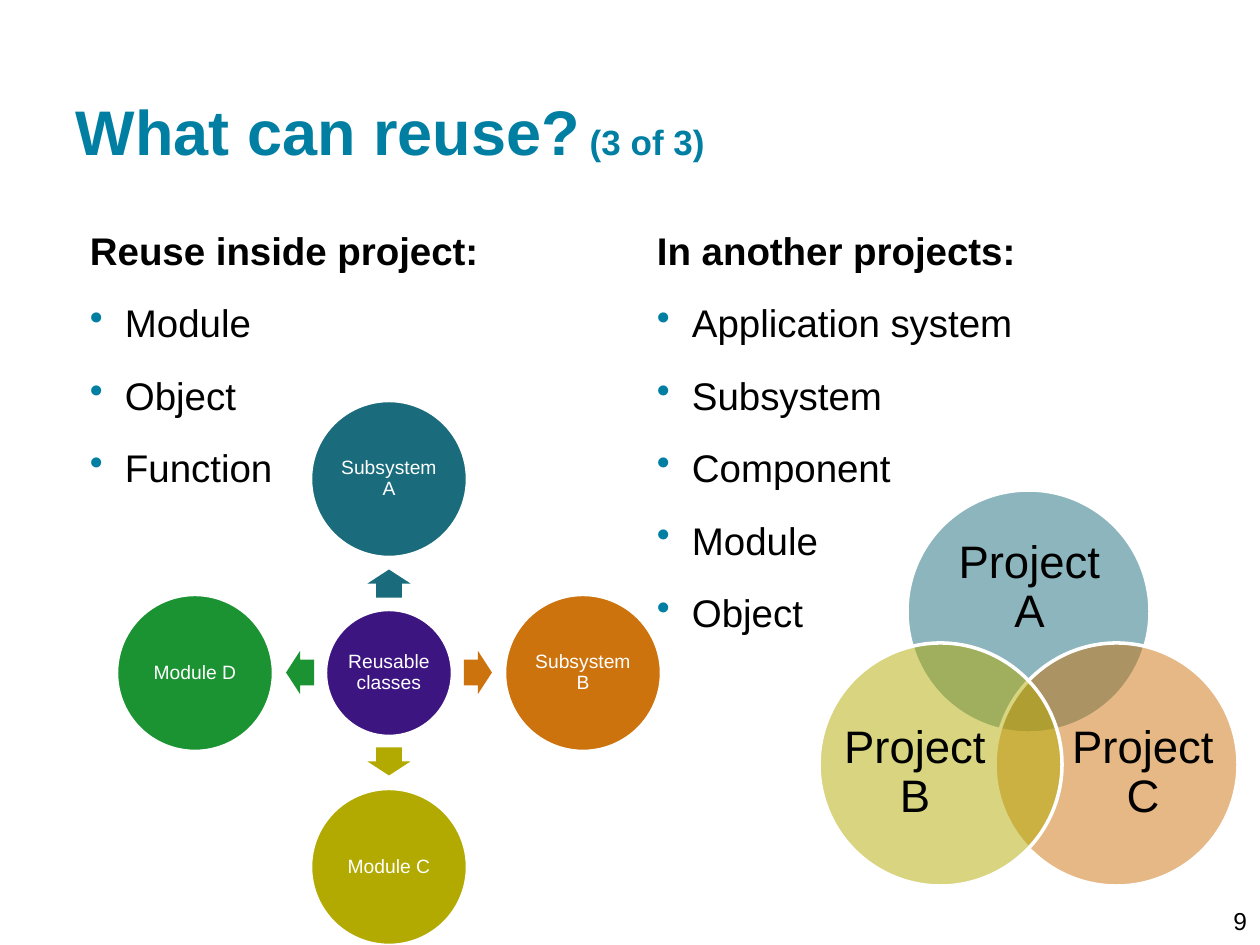
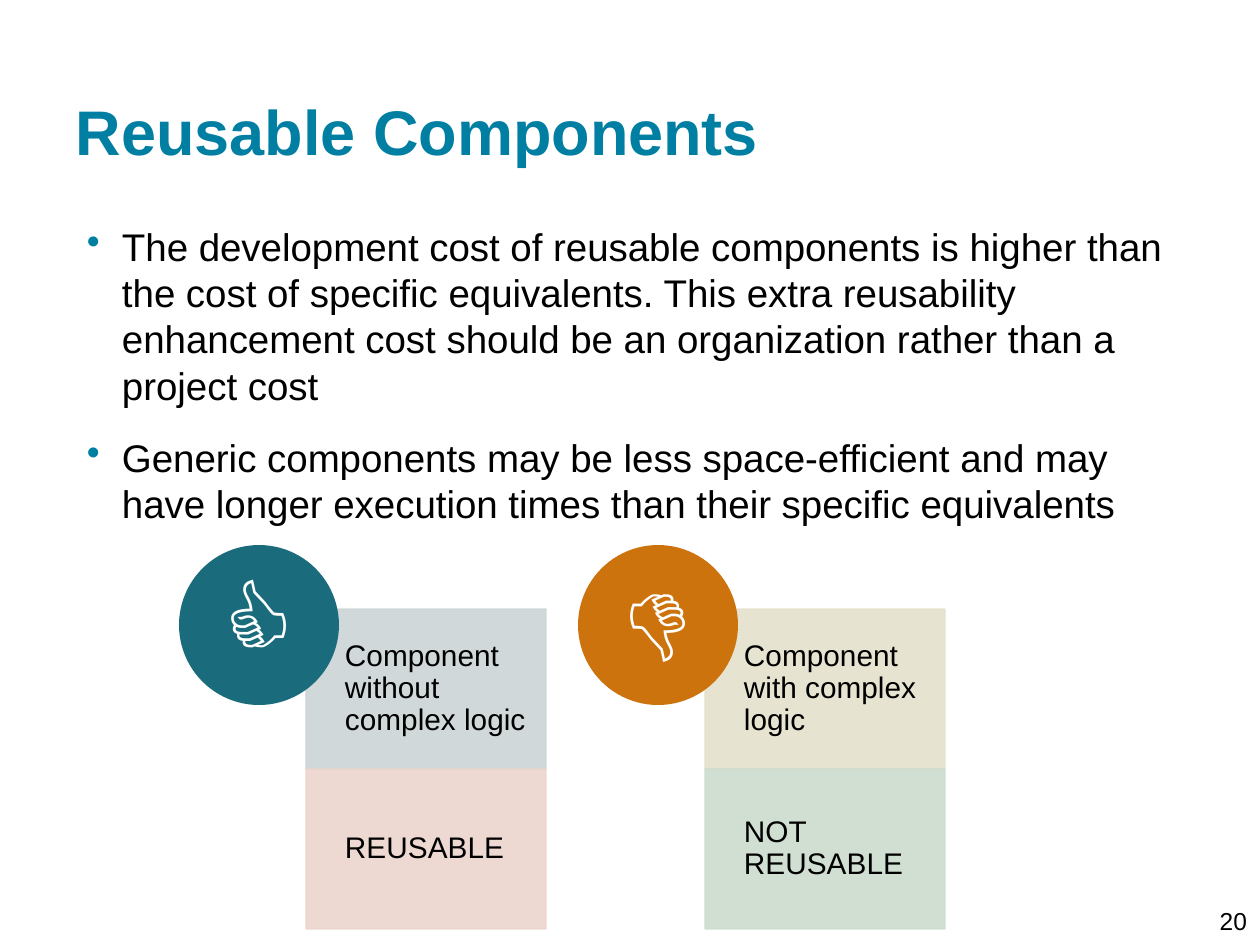
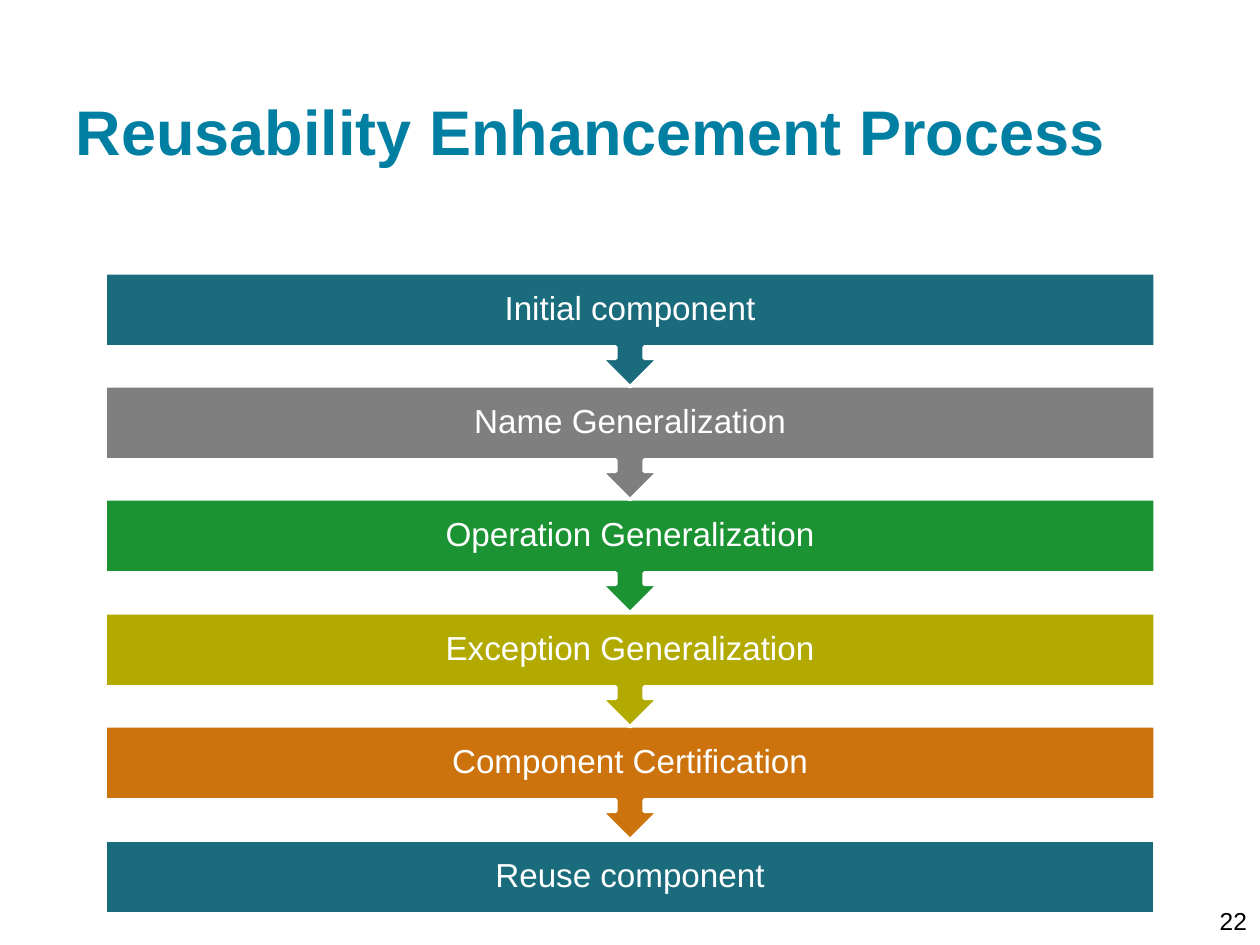
from dataclasses import dataclass

from lxml.etree import SubElement
from pptx import Presentation
from pptx.dml.color import RGBColor
from pptx.enum.shapes import MSO_SHAPE as Preset
from pptx.enum.text import MSO_ANCHOR as Anchor, PP_ALIGN as Align
from pptx.oxml.ns import qn
from pptx.util import Pt


# Theme and scale
@dataclass(frozen=True)
class Theme:
    font: str = "Arial"
    accent: str = "007FA3"
    black: str = "000000"
    white: str = "FFFFFF"
    teal: str = "1A6C7C"
    orange: str = "CC730D"
    olive: str = "B2AA00"
    green: str = "1B9332"
    purple: str = "3C1581"
    gray: str = "7F7F7F"
    pale_teal: str = "CDD4D7"
    pale_red: str = "ECD5CC"
    pale_olive: str = "E4E2CC"
    pale_green: str = "CDDCCE"
    title_size: int = 36
    title_note_size: int = 20
    body_size: int = 22
    page_size: int = 14
    spoke_size: int = 11
    project_size: int = 26
    card_size: int = 17
    thumb_size: int = 62
    step_size: int = 19


THEME = Theme()
PX_PER_INCH = 126
TIGHT = 0.9  # line spacing inside diagrams


def px(length):
    return round(length * 914400 / PX_PER_INCH)


# Text helpers
def style_font(paragraph, size, color, bold=False):
    font = paragraph.font
    font.name, font.size, font.bold = THEME.font, Pt(size), bold
    font.color.rgb = RGBColor.from_string(color)


def set_frame(shape, anchor, insets):
    frame = shape.text_frame
    frame.word_wrap = True
    frame.vertical_anchor = anchor
    (frame.margin_left, frame.margin_top,
     frame.margin_right, frame.margin_bottom) = map(px, insets)
    return frame


def add_text_box(slide, box, anchor=Anchor.MIDDLE, insets=(0, 0, 0, 0)):
    return set_frame(slide.shapes.add_textbox(*map(px, box)), anchor, insets)


def write_label(frame, text, size, color, align=Align.CENTER):
    paragraph = frame.paragraphs[0]
    paragraph.text, paragraph.alignment = text, align
    paragraph.line_spacing = TIGHT
    style_font(paragraph, size, color)


def add_bullet(paragraph):
    properties = paragraph._p.get_or_add_pPr()
    properties.set("marL", str(px(49)))
    properties.set("indent", str(px(-35)))
    color = SubElement(properties, qn("a:buClr"))
    SubElement(color, qn("a:srgbClr"), val=THEME.accent)
    SubElement(properties, qn("a:buChar"), char="•")


def add_body(slide, box, bullets, heading=None):
    frame = add_text_box(slide, box, Anchor.TOP, (13, 13, 13, 13))
    lines = ([heading] if heading else []) + bullets
    for index, line in enumerate(lines):
        paragraph = frame.paragraphs[0] if index == 0 else frame.add_paragraph()
        paragraph.text = line
        is_heading = line == heading
        if is_heading:
            paragraph._p.get_or_add_pPr().set("marL", str(px(14)))
        else:
            add_bullet(paragraph)
        paragraph.space_before = Pt(15)
        style_font(paragraph, THEME.body_size, THEME.black, is_heading)


# Shape helpers
def set_alpha(color_format_parent, percent):
    for color in color_format_parent.iter(qn("a:srgbClr")):
        SubElement(color, qn("a:alpha"), val=str(percent * 1000))


def add_preset(slide, preset, box, fill, line=None, line_width=2, alpha=None):
    shape = slide.shapes.add_shape(preset, *map(px, box))
    shape.shadow.inherit = False
    shape.fill.solid()
    shape.fill.fore_color.rgb = RGBColor.from_string(fill)
    if line:
        shape.line.color.rgb = RGBColor.from_string(line)
        shape.line.width = Pt(line_width)
    else:
        shape.line.fill.background()
    if alpha:
        color_parent = shape._element.spPr
        set_alpha(color_parent.find(qn("a:solidFill")), alpha)
        if line == fill:
            set_alpha(color_parent.find(qn("a:ln")), alpha)
    return shape


def add_disc(slide, center_x, center_y, diameter, fill, text, size, inset=2, line=THEME.white):
    box = (center_x - diameter / 2, center_y - diameter / 2, diameter, diameter)
    disc = add_preset(slide, Preset.OVAL, box, fill, line)
    write_label(set_frame(disc, Anchor.MIDDLE, (inset,) * 4), text, size, THEME.white)


# Shared slide parts
def add_titled_slide(presentation, title, page, note=None):
    slide = presentation.slides.add_slide(presentation.slide_layouts[6])
    frame = add_text_box(slide, (63, 30, 1134, 151), Anchor.BOTTOM, (13, 13, 13, 13))
    heading = frame.paragraphs[0]
    style_font(heading, THEME.title_size, THEME.accent, True)
    heading.add_run().text = title
    if note:
        run = heading.add_run()
        run.text = " " + note
        run.font.size = Pt(THEME.title_note_size)

    frame = add_text_box(slide, (1184, 908, 76, 25), insets=(13, 6, 13, 6))
    number = frame.paragraphs[0]
    number.text, number.alignment = str(page), Align.RIGHT
    style_font(number, THEME.page_size, THEME.black)
    return slide


# Diagrams
def add_hub(slide, center_x, center_y):
    add_disc(slide, center_x, center_y, 127, THEME.purple, "Reusable classes", THEME.spoke_size)
    spokes = [
        (0, -1, 270, THEME.teal, "Subsystem A"),
        (1, 0, 0, THEME.orange, "Subsystem B"),
        (0, 1, 90, THEME.olive, "Module C"),
        (-1, 0, 180, THEME.green, "Module D"),
    ]
    for step_x, step_y, rotation, color, text in spokes:
        arrow_box = (center_x + 89 * step_x - 14, center_y + 89 * step_y - 22, 28, 43)
        arrow = add_preset(slide, Preset.RIGHT_ARROW, arrow_box, color)
        arrow.adjustments[0], arrow.adjustments[1] = 0.6, 0.5
        arrow.rotation = rotation
        add_disc(slide, center_x + 194 * step_x, center_y + 194 * step_y, 157,
                 color, text, THEME.spoke_size)


def add_venn(slide):
    projects = [
        ("Project A", THEME.teal, (907, 490), (940, 533, 179, 110)),
        ("Project C", THEME.orange, (995, 643), (1070, 706, 146, 134)),
        ("Project B", THEME.olive, (819, 643), (842, 706, 146, 134)),
    ]
    for text, color, corner, label_box in projects:
        add_preset(slide, Preset.OVAL, (*corner, 243, 243), color, THEME.white, alpha=50)
        write_label(add_text_box(slide, label_box), text, THEME.project_size, THEME.black)


def add_verdict(slide, left, thumb, color, cards):
    for row, (text, fill) in enumerate(cards):
        box = (left + 127, 609 + 160 * row, 240, 160)
        card = add_preset(slide, Preset.RECTANGLE, box, fill, fill, 0.75, alpha=90)
        frame = set_frame(card, Anchor.MIDDLE, (39, 16, 16, 16))
        write_label(frame, text, THEME.card_size, THEME.black, Align.LEFT)
    add_disc(slide, left + 80, 625, 160, color, thumb, THEME.thumb_size, 0, None)


def add_process(slide, steps):
    first_top, last_top = 273, 840
    last = len(steps) - 1
    # Bottom up, so that each arrow tip lies over the step below it
    for index in range(last, -1, -1):
        text, color = steps[index]
        preset, height = ((Preset.RECTANGLE, 74) if index == last
                          else (Preset.DOWN_ARROW_CALLOUT, 114))
        top = first_top + (last_top - first_top) * index // last
        step = add_preset(slide, preset, (105, top, 1050, height), color, THEME.white)
        frame = set_frame(step, Anchor.MIDDLE, (19, 19, 19, 19))
        write_label(frame, text, THEME.step_size, THEME.white)


# Slides
def build_reuse_slide(presentation):
    slide = add_titled_slide(presentation, "What can reuse?", 9, "(3 of 3)")
    add_body(slide, (63, 214, 567, 651), ["Module", "Object", "Function"],
             "Reuse inside project:")
    add_body(slide, (630, 214, 630, 701),
             ["Application system", "Subsystem", "Component", "Module", "Object"],
             "In another projects:")
    add_venn(slide)
    add_hub(slide, 389, 673)


def build_components_slide(presentation):
    slide = add_titled_slide(presentation, "Reusable Components", 20)
    add_body(slide, (60, 210, 1147, 651), [
        "The development cost of reusable components is higher than the cost of "
        "specific equivalents. This extra reusability enhancement cost should be "
        "an organization rather than a project cost",
        "Generic components may be less space-efficient and may have longer "
        "execution times than their specific equivalents",
    ])
    add_verdict(slide, 179, "👍", THEME.teal, [
        ("Component without complex logic", THEME.pale_teal),
        ("REUSABLE", THEME.pale_red),
    ])
    add_verdict(slide, 578, "👎", THEME.orange, [
        ("Component with complex logic", THEME.pale_olive),
        ("NOT REUSABLE", THEME.pale_green),
    ])


def build_process_slide(presentation):
    slide = add_titled_slide(presentation, "Reusability Enhancement Process", 22)
    add_process(slide, [
        ("Initial component", THEME.teal),
        ("Name Generalization", THEME.gray),
        ("Operation Generalization", THEME.green),
        ("Exception Generalization", THEME.olive),
        ("Component Certification", THEME.orange),
        ("Reuse component", THEME.teal),
    ])


def main():
    presentation = Presentation()
    presentation.slide_width, presentation.slide_height = px(1260), px(945)
    build_reuse_slide(presentation)
    build_components_slide(presentation)
    build_process_slide(presentation)
    presentation.save("out.pptx")


if __name__ == "__main__":
    main()
